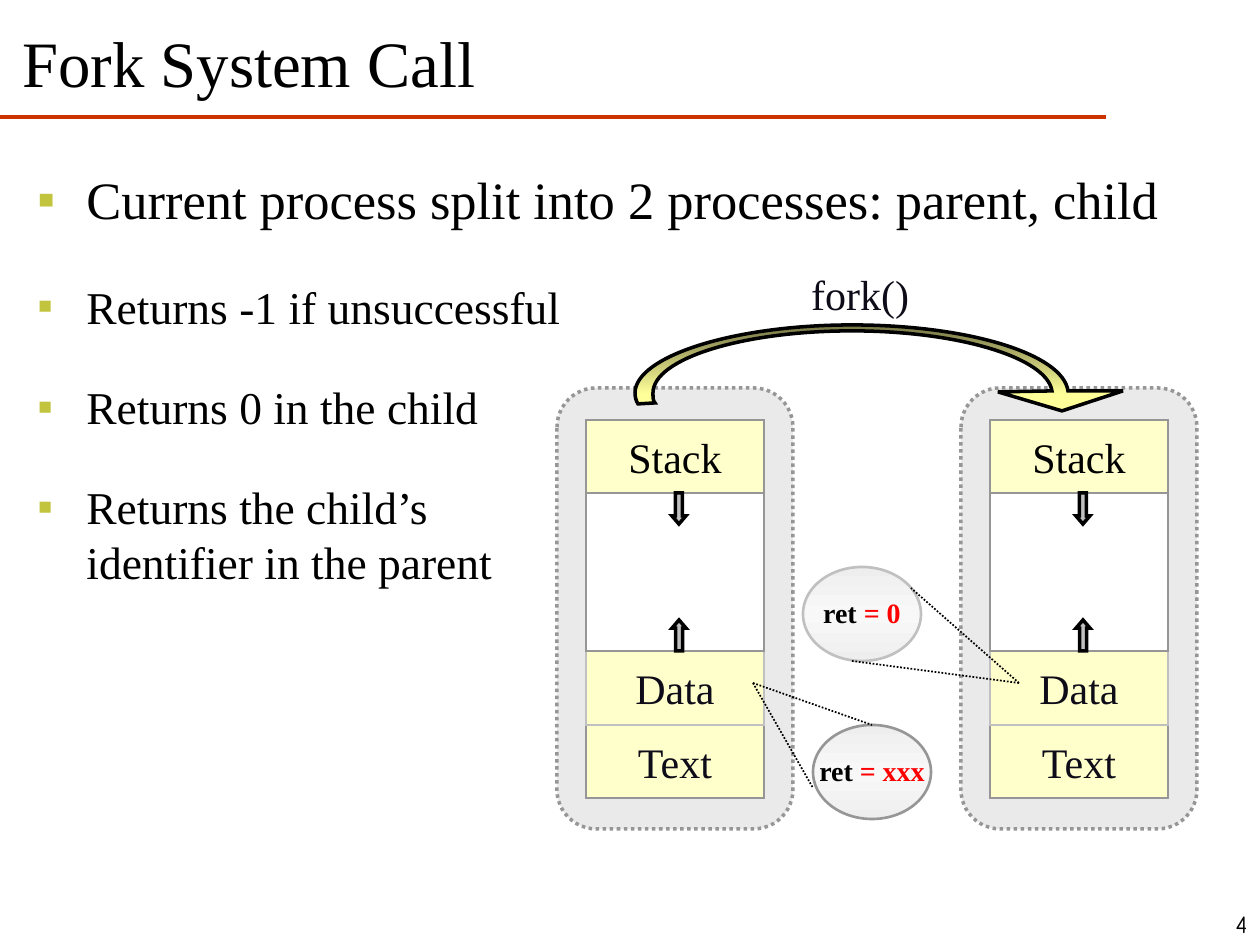
from copy import deepcopy

from lxml import etree
from pptx import Presentation
from pptx import util as u
from pptx.dml.color import RGBColor
from pptx.enum import dml, shapes, text
from pptx.oxml import ns

PX = 7257  # EMU in one px, 126 px to the inch

BLACK = RGBColor(0x00, 0x00, 0x00)
INK = RGBColor(0x0F, 0x0C, 0x19)
WHITE = RGBColor(0xFF, 0xFF, 0xFF)
RED = RGBColor(0xFF, 0x00, 0x00)
RUST = RGBColor(0xCC, 0x33, 0x00)
OLIVE = RGBColor(0x76, 0x76, 0x47)
YELLOW = RGBColor(0xFF, 0xFF, 0x99)
CREAM = RGBColor(0xFF, 0xFF, 0xCC)
PANEL = RGBColor(0xEA, 0xEA, 0xEA)
GREY = RGBColor(0x96, 0x96, 0x96)
SILVER = RGBColor(0xC0, 0xC0, 0xC0)
PALE = RGBColor(0xEE, 0xEE, 0xEE)
PALER = RGBColor(0xF8, 0xF8, 0xF8)

SERIF = "Times New Roman"
SHAPE = shapes.MSO_SHAPE
ALIGN = text.PP_ALIGN
MIDDLE = text.MSO_ANCHOR.MIDDLE

deck = Presentation()
deck.slide_width, deck.slide_height = 1260 * PX, 945 * PX
slide = deck.slides.add_slide(deck.slide_layouts[5])


def finish(shape, fill, line, width):
    """Style a shape with sharp corners; a fill of None is left to the caller."""
    shape.shadow.inherit = False
    if fill is not None:
        shape.fill.solid()
        shape.fill.fore_color.rgb = fill
    shape.line.color.rgb = line
    shape.line.width = u.Pt(width)
    etree.SubElement(shape._element.spPr.find(ns.qn("a:ln")), ns.qn("a:miter"), lim="800000")
    return shape


def write(owner, runs, size, align, anchor=MIDDLE, wrap=False, font=SERIF, bold=False):
    """Fill the first paragraph with (words, colour) runs and return it."""
    frame = owner.text_frame
    frame.word_wrap = wrap
    frame.vertical_anchor = anchor
    paragraph = frame.paragraphs[0]
    paragraph.alignment = align
    for words, colour in runs:
        run = paragraph.add_run()
        run.text = words
        run.font.name, run.font.size, run.font.bold = font, u.Pt(size), bold
        run.font.color.rgb = colour
    return paragraph


# Title, page number
title = slide.shapes.title
title.left, title.top, title.width, title.height = [v * PX for v in (10, 25, 1218, 82)]
write(title, [("Fork System Call", BLACK)], 37, ALIGN.LEFT, text.MSO_ANCHOR.BOTTOM, True)
title.text_frame.auto_size = text.MSO_AUTO_SIZE.NONE

page = slide.shapes.add_textbox(*[v * PX for v in (1218, 903, 42, 42)])
write(page, [("4", BLACK)], 14, ALIGN.RIGHT, font="Comic Neue")

# Bulleted statements
for box, size, before, after, spacing, statements in [
    ((26, 168, 1150, 73), 30, 7.5, 0, 0.9,
     ["Current process split into 2 processes: parent, child"]),
    ((26, 273, 552, 507), 26, 13, 13, 1.0,
     ["Returns -1 if unsuccessful", "Returns 0 in the child",
      "Returns the child’s identifier in the parent"]),
]:
    frame = slide.shapes.add_textbox(*[v * PX for v in box]).text_frame
    frame.word_wrap = True
    for index, statement in enumerate(statements):
        paragraph = frame.add_paragraph() if index else frame.paragraphs[0]
        paragraph.space_before, paragraph.space_after = u.Pt(before), u.Pt(after)
        paragraph.line_spacing = spacing
        run = paragraph.add_run()
        run.text = statement
        run.font.name, run.font.size = SERIF, u.Pt(size)
        run.font.color.rgb = BLACK
        props = paragraph._p.get_or_add_pPr()
        props.set("marL", str(48 * PX))
        props.set("indent", str(-48 * PX))
        colour = etree.SubElement(props, ns.qn("a:buClr"))
        etree.SubElement(colour, ns.qn("a:srgbClr"), val="C1C43C")
        etree.SubElement(props, ns.qn("a:buSzPct"), val="50000")
        etree.SubElement(props, ns.qn("a:buFont"), typeface=SERIF)
        etree.SubElement(props, ns.qn("a:buChar"), char="■")

# Parent and child memory maps
for left in (557, 961):
    process = slide.shapes.add_shape(SHAPE.ROUNDED_RECTANGLE,
                                     *[v * PX for v in (left, 388, 236, 441)])
    finish(process, PANEL, GREY, 2)
    process.line.dash_style = dml.MSO_LINE.ROUND_DOT
    for name, top, height, fill, line, ink in [
        ("Text", 725, 73, CREAM, GREY, INK),
        ("Data", 651, 74, CREAM, SILVER, INK),
        ("Stack", 420, 73, CREAM, GREY, BLACK),
        ("", 493, 158, WHITE, GREY, BLACK),
    ]:
        segment = slide.shapes.add_shape(SHAPE.RECTANGLE,
                                         *[v * PX for v in (left + 29, top, 178, height)])
        finish(segment, fill, line, 1)
        if name:
            write(segment, [(name, ink)], 24, ALIGN.CENTER)
    for top, turn in [(493, 0), (620, 180)]:
        growth = slide.shapes.add_shape(SHAPE.DOWN_ARROW,
                                        *[v * PX for v in (left + 115, top, 14, 31)])
        finish(growth, SILVER, BLACK, 2)
        growth.adjustments[1] = 0.58
        growth.rotation = turn

# Return values
for box, line, runs in [
    ((813, 725, 118, 94), GREY, [("ret", BLACK), (" = xxx", RED)]),
    ((803, 567, 118, 94), SILVER, [("ret ", BLACK), ("= 0", RED)]),
]:
    value = slide.shapes.add_shape(SHAPE.OVAL, *[v * PX for v in box])
    finish(value, None, line, 1.5)
    value.fill.gradient()
    value.fill.gradient_angle = 270
    outer, centre = value.fill.gradient_stops
    outer.color.rgb, outer.position = PALE, 0
    centre.color.rgb, centre.position = PALER, 0.5
    stops = value._element.spPr.find(".//" + ns.qn("a:gsLst"))
    last = deepcopy(stops[0])
    last.set("pos", "100000")
    stops.append(last)
    write(value, runs, 16, ALIGN.CENTER, bold=True).line_spacing = 0.9

# Title rule and the callout lines from data to return values
for ends, colour, width, dash in [
    ((0, 117, 1106, 117), RUST, 2, None),
    ((753, 683, 872, 725), BLACK, 1, dml.MSO_LINE.ROUND_DOT),
    ((753, 683, 813, 788), BLACK, 1, dml.MSO_LINE.ROUND_DOT),
    ((1019, 683, 911, 588), BLACK, 1, dml.MSO_LINE.ROUND_DOT),
    ((852, 661, 1019, 683), BLACK, 1, dml.MSO_LINE.ROUND_DOT),
]:
    rule = slide.shapes.add_connector(shapes.MSO_CONNECTOR.STRAIGHT, *[v * PX for v in ends])
    rule.line.color.rgb = colour
    rule.line.width = u.Pt(width)
    rule.line.dash_style = dash
    etree.SubElement(rule._element.spPr, ns.qn("a:effectLst"))

# Fork arrow: one point is a straight side, three points a cubic curve
sides = [
    [(1047, 358), (959, 331), (852, 331)],
    [(742, 331), (653, 359), (653, 393)],
    [(653, 397), (653, 401), (655, 403)],
    [(638, 404)],
    [(636, 401), (635, 397), (635, 393)],
    [(635, 357), (732, 325), (852, 325)],
    [(968, 325), (1063, 354), (1068, 391)],
    [(1123, 391)], [(1062, 411)], [(998, 392)],
]
builder = slide.shapes.build_freeform(1052, 391, scale=PX)
builder.add_line_segments([point for side in sides for point in side], close=True)
fork = finish(builder.convert_to_shape(), None, BLACK, 2)
steps = iter(fork._element.spPr.findall(".//" + ns.qn("a:lnTo")))
for side in sides:
    first, *others = [next(steps) for _ in side]
    if others:
        curve = etree.Element(ns.qn("a:cubicBezTo"))
        first.addprevious(curve)
        for step in (first, *others):
            curve.append(step[0])
            step.getparent().remove(step)
fork.fill.gradient()
fork.fill.gradient_angle = 270
for stop, colour, position in zip(fork.fill.gradient_stops, (OLIVE, YELLOW), (0, 0.8)):
    stop.color.rgb, stop.position = colour, position

call = slide.shapes.add_textbox(*[v * PX for v in (795, 262, 130, 63)])
write(call, [("fork()", INK)], 24, ALIGN.CENTER).space_before = u.Pt(15)
call.text_frame.auto_size = text.MSO_AUTO_SIZE.SHAPE_TO_FIT_TEXT

deck.save("out.pptx")
